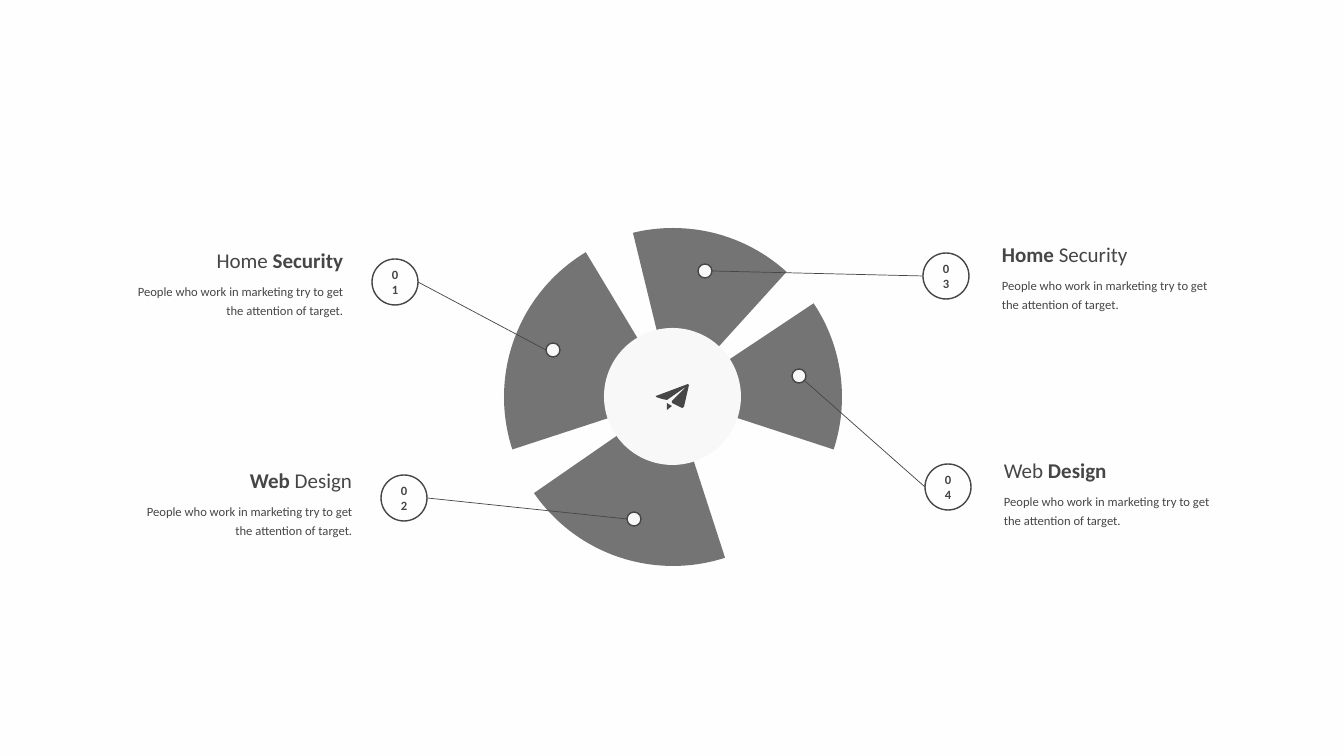
"""Build a slide with four broken wheel sectors and their captions."""
from lxml import etree
from pptx import Presentation
from pptx.dml.color import RGBColor
from pptx.enum.shapes import MSO_CONNECTOR, MSO_SHAPE
from pptx.enum.text import PP_ALIGN
from pptx.oxml.ns import qn
from pptx.util import Emu, Pt

PIE, OVAL = MSO_SHAPE.PIE, MSO_SHAPE.OVAL
STRAIGHT = MSO_CONNECTOR.STRAIGHT
LEFT, RIGHT = PP_ALIGN.LEFT, PP_ALIGN.RIGHT
DARK = RGBColor(0x46, 0x46, 0x46)
PALE = RGBColor(0xF8, 0xF8, 0xF8)
PAPER = RGBColor(0xFE, 0xFE, 0xFE)
FONT = "Calibri"
EMU_PER_PX = 914400 / 100.8
BADGE, DOT = 46, 14
DETAIL = "People who work in marketing try to get the attention of target."


def px(length):
    """Turn pixels into EMU."""
    return Emu(round(length * EMU_PER_PX))


class WheelSlide:
    """Hold the deck, the current page and the drawing style."""

    def __init__(self, width, height):
        self.deck = Presentation()
        self.deck.slide_width, self.deck.slide_height = px(width), px(height)
        self.page = self.deck.slides.add_slide(self.deck.slide_layouts[6])
        background = self.page.background.fill
        background.solid()
        background.fore_color.rgb = PAPER

    def paint(self, shape, fill=None, outlined=False):
        """Set the fill and outline of a shape and drop its shadow."""
        shape.shadow.inherit = False
        if fill is None:
            shape.fill.background()
        else:
            shape.fill.solid()
            shape.fill.fore_color.rgb = fill
        if outlined:
            shape.line.color.rgb = DARK
            shape.line.width = Pt(1)
        else:
            shape.line.fill.background()

    def circle(self, left, top, size, fill=None, outlined=False):
        """Draw a circle."""
        circle = self.page.shapes.add_shape(
            OVAL, px(left), px(top), px(size), px(size))
        self.paint(circle, fill, outlined)
        return circle

    def sector(self, left, top, size, start, end, turn=0):
        """Draw a translucent pie sector between two angles in degrees."""
        pie = self.page.shapes.add_shape(
            PIE, px(left), px(top), px(size), px(size))
        pie.adjustments[0], pie.adjustments[1] = start * 0.6, end * 0.6
        pie.rotation = turn
        self.paint(pie, DARK)
        color = pie.fill._xPr.find(qn("a:solidFill"))[0]
        etree.SubElement(color, qn("a:alpha")).set("val", "75000")

    def badge(self, left, top, number):
        """Draw a numbered ring."""
        para = self.circle(left, top, BADGE, outlined=True).text_frame.paragraphs[0]
        para.text = number
        para.alignment = PP_ALIGN.CENTER
        self.style(para, 9)
        para.font.bold = True

    def style(self, para, size):
        """Set the font of a paragraph."""
        para.font.name, para.font.size = FONT, Pt(size)
        para.font.color.rgb = DARK

    def text(self, left, top, width, height, spans, size, align):
        """Write a wrapped paragraph from (words, bold) spans."""
        box = self.page.shapes.add_textbox(
            px(left), px(top), px(width), px(height))
        box.text_frame.word_wrap = True
        para = box.text_frame.paragraphs[0]
        para.alignment, para.line_spacing = align, 1.3
        self.style(para, size)
        for words, bold in spans:
            span = para.add_run()
            span.text = words
            span.font.bold = bold

    def line(self, start, end):
        """Draw a thin leader line."""
        leader = self.page.shapes.add_connector(
            STRAIGHT, *map(px, start), *map(px, end))
        leader.line.color.rgb = DARK
        leader.line.width = Pt(0.5)
        etree.SubElement(leader._element.spPr, qn("a:effectLst"))

    def outline(self, *contours):
        """Draw a filled shape made of closed contours."""
        builder = self.page.shapes.build_freeform(*contours[0][0], scale=EMU_PER_PX)
        builder.add_line_segments(contours[0][1:], close=True)
        for contour in contours[1:]:
            builder.move_to(*contour[0])
            builder.add_line_segments(contour[1:], close=True)
        self.paint(builder.convert_to_shape(), DARK)

    def caption(self, left, top, title_width, spans, align):
        """Write a heading with its detail text, flush on one side."""
        width = 245
        title_left = left + width - title_width if align == RIGHT else left
        self.text(left, top + 39, width, 57, [(DETAIL, False)], 9, align)
        self.text(title_left, top, title_width, 44, spans, 15, align)


def main():
    """Draw and save the slide."""
    slide = WheelSlide(1344, 756)
    sectors = [(161.91, 238.94, 0), (72.05, 145.33, 0),
               (256.29, 312.23, 0), (255.32, 307.09, 71)]
    for start, end, turn in sectors:
        slide.sector(504, 228, 338, start, end, turn)
    slide.circle(604, 328, 137, PALE)
    wing = [(688, 384), (656, 396), (656, 397), (662, 399), (667, 400),
            (687, 386), (672, 401), (672, 403), (682, 408), (684, 407), (689, 385)]
    fin = [(667, 403), (667, 410), (672, 406)]
    slide.outline(wing, fin)

    items = [
        ("03", (992, 229), 170, [("Home", True), (" Security", False)],
         LEFT, (923, 253), (698, 264), (712, 271)),
        ("01", (108, 235), 170, [("Home ", False), ("Security", True)],
         RIGHT, (372, 259), (546, 343), (546, 350)),
        ("02", (117, 455), 239, [("Web", True), (" Design", False)],
         RIGHT, (381, 475), (627, 512), (627, 519)),
        ("04", (994, 445), 239, [("Web ", False), ("Design", True)],
         LEFT, (925, 464), (792, 369), (805, 381)),
    ]
    for number, place, title_width, spans, align, badge, dot, target in items:
        slide.caption(*place, title_width, spans, align)
        slide.badge(*badge, number)
        slide.circle(*dot, DOT, PALE, outlined=True)
        edge = badge[0] + BADGE if align == RIGHT else badge[0]
        slide.line((edge, badge[1] + BADGE // 2), target)
    slide.deck.save("out.pptx")


if __name__ == "__main__":
    main()
